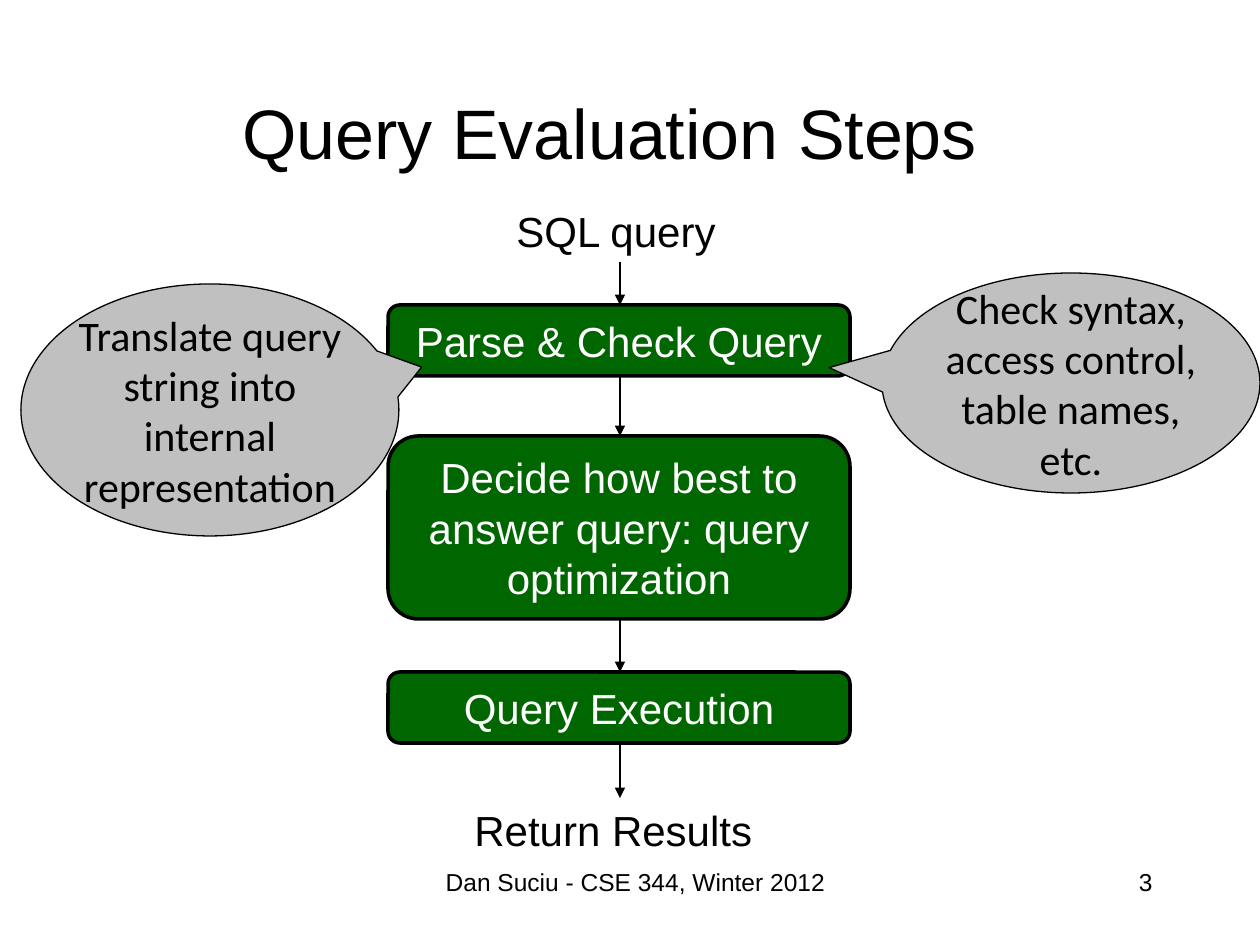
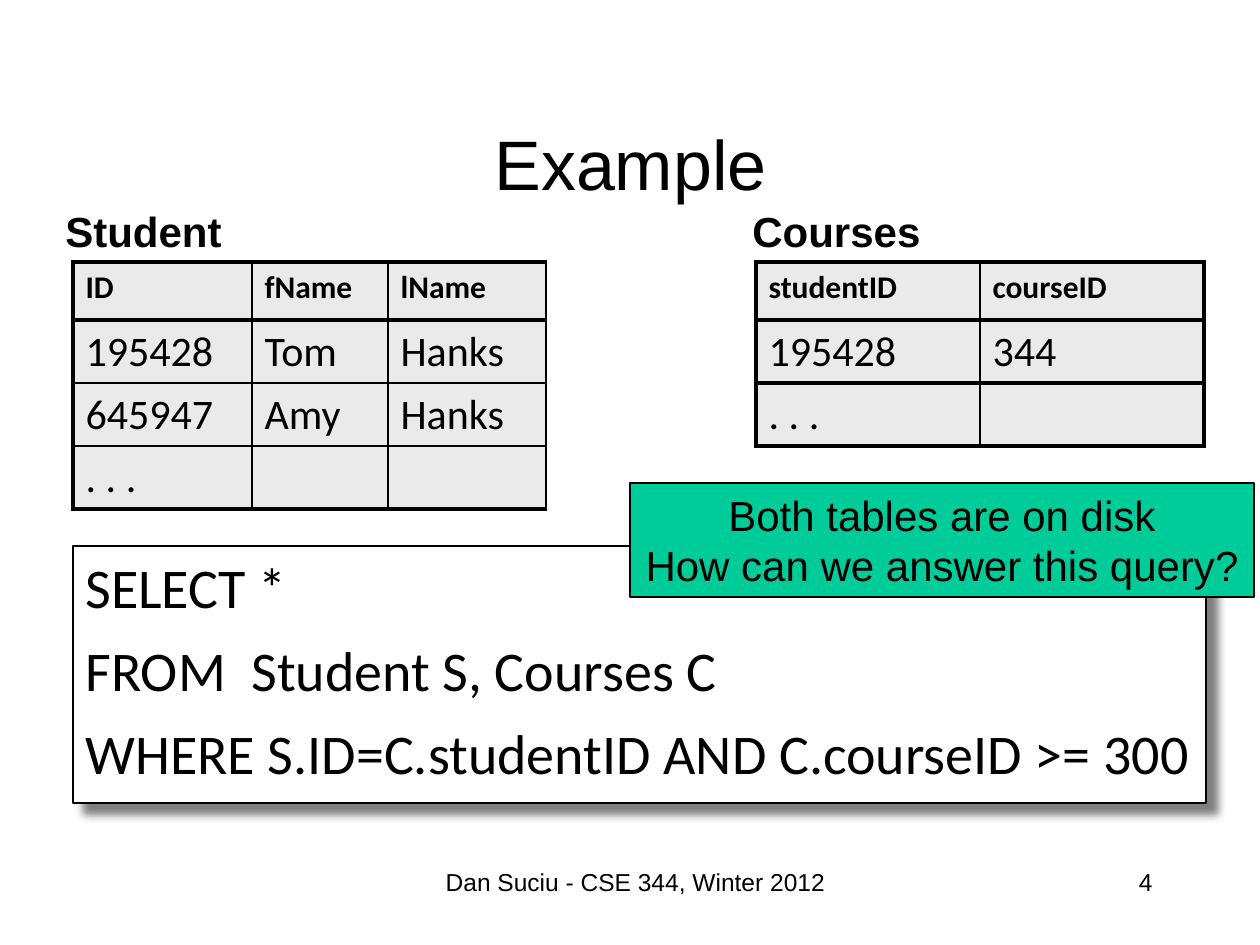
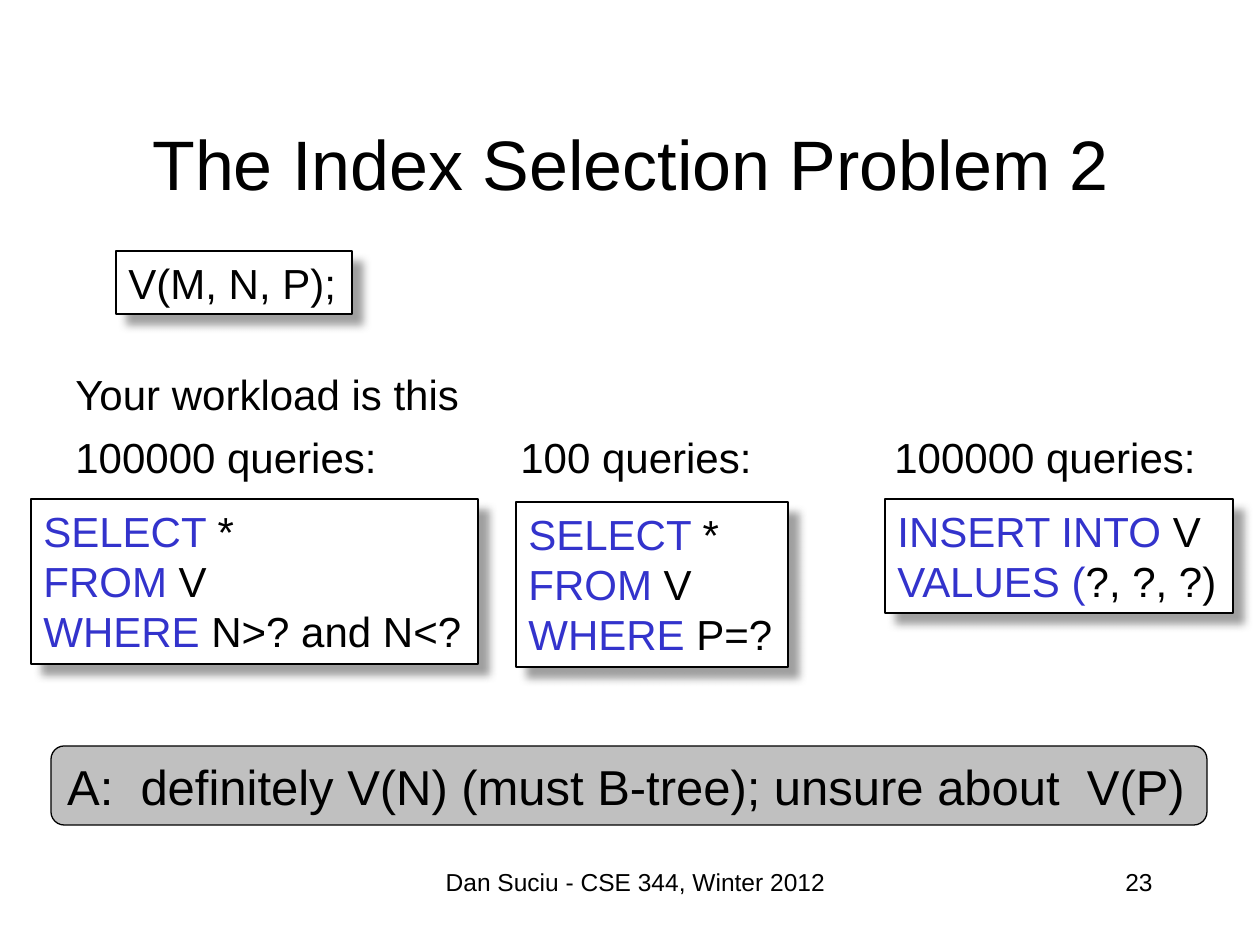
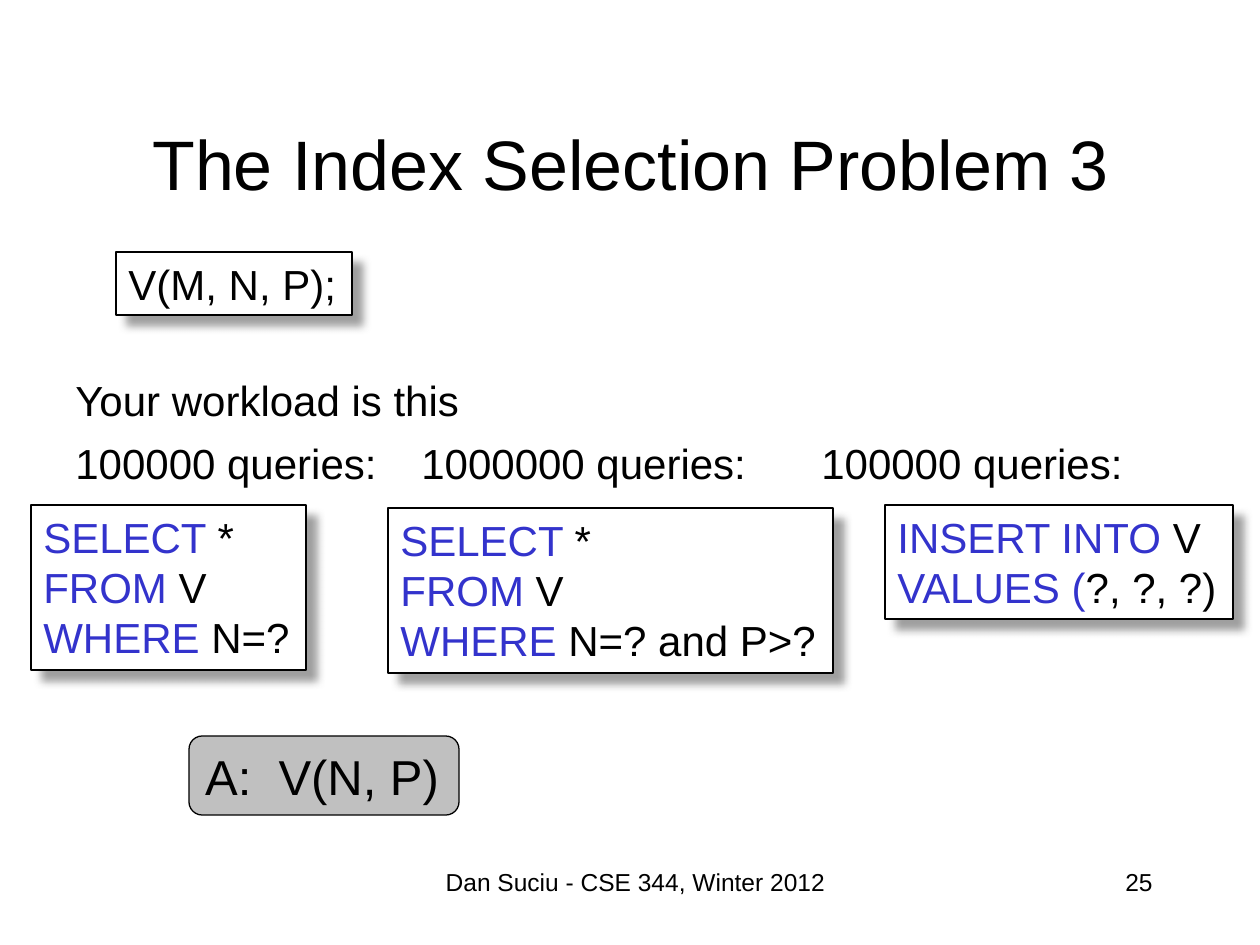
from lxml import etree
from pptx import Presentation
from pptx.dml.color import RGBColor
from pptx.enum.shapes import MSO_CONNECTOR, MSO_SHAPE
from pptx.enum.text import MSO_ANCHOR, PP_ALIGN
from pptx.oxml.ns import qn
from pptx.util import Emu, Pt

LEFT, CENTER, RIGHT = PP_ALIGN.LEFT, PP_ALIGN.CENTER, PP_ALIGN.RIGHT
TOP, MIDDLE = MSO_ANCHOR.TOP, MSO_ANCHOR.MIDDLE
RECTANGLE, ROUNDED = MSO_SHAPE.RECTANGLE, MSO_SHAPE.ROUNDED_RECTANGLE
CALLOUT = MSO_SHAPE.OVAL_CALLOUT
STRAIGHT = MSO_CONNECTOR.STRAIGHT

BLACK = RGBColor(0x00, 0x00, 0x00)
WHITE = RGBColor(0xFF, 0xFF, 0xFF)
GREEN = RGBColor(0x00, 0x66, 0x00)
MINT = RGBColor(0x00, 0xCC, 0x99)
SILVER = RGBColor(0xC0, 0xC0, 0xC0)
PALE = RGBColor(0xEA, 0xEA, 0xEA)
BLUE = RGBColor(0x33, 0x33, 0xCC)

EMU_PER_PX = 914400 / 126
SLIDE_SIZE = (1260, 945)
TITLE_PLACE = (95, 84, 1071, 158)
FOOTER_PLACE = (399, 861, 473, 63)
NUMBER_PLACE = (903, 861, 262, 63)
FOOTER = "Dan Suciu - CSE 344, Winter 2012"
LINE_HEIGHT, BOX_PADDING = 51, 12
THICK, THIN = 2.25, 1

STEPS = [
    ("Parse & Check Query", 305, 71),
    ("Decide how best to answer query: query optimization", 436, 183),
    ("Query Execution", 672, 71),
]
STEP_LEFT, STEP_WIDTH, ARROW_X = 388, 462, 620
FLOW_START, FLOW_END = 262, 798
FLOW_LABELS = [
    ("SQL query", (504, 199, 231, 63)),
    ("Return Results", (462, 798, 315, 63)),
]
CALLOUTS = [
    ("Translate query string into internal representation", (21, 284, 378, 252), (0.56, -0.17)),
    ("Check syntax, access control, table names, etc.", (882, 273, 378, 220), (-0.64, -0.07)),
]

TABLE_TOP, HEADER_HEIGHT, ROW_HEIGHT = 262, 58, 63
TABLES = [
    {
        "name": "Student", "label": (53, 199, 183, 63), "left": 73,
        "columns": (179, 136, 158), "right_edge": THIN, "inner_rule": THIN,
        "rows": [
            ("ID", "fName", "lName"),
            ("195428", "Tom", "Hanks"),
            ("645947", "Amy", "Hanks"),
            (". . .", "", ""),
        ],
    },
    {
        "name": "Courses", "label": (740, 199, 195, 63), "left": 756,
        "columns": (224, 224), "right_edge": THICK, "inner_rule": THICK,
        "rows": [("studentID", "courseID"), ("195428", "344"), (". . .", "")],
    },
]
JOIN_QUERY = [
    "SELECT *",
    "FROM  Student S, Courses C",
    "WHERE S.ID=C.studentID AND C.courseID >= 300",
]
QUESTION = ["Both tables are on disk", "How can we answer this query?"]

INSERT = [("INSERT INTO ", "V"), ("VALUES (", "?, ?, ?)")]


def select_where(condition):
    return [("SELECT ", "*"), ("FROM", " V"), ("WHERE", " " + condition)]


INDEX_PROBLEMS = [
    {
        "title": "The Index Selection Problem 2", "number": 23,
        "schema_top": 251, "workload_top": 362,
        "queries": [
            ("100000 queries:", 63, select_where("N>? and N<?"), 31, 137, 447),
            ("100 queries:", 508, select_where("P=?"), 516, 140, 272),
            ("100000 queries:", 882, INSERT, 885, 137, 348),
        ],
        "answer": "A:  definitely V(N) (must B-tree); unsure about  V(P)",
        "answer_place": (51, 746, 1156, 79),
    },
    {
        "title": "The Index Selection Problem 3", "number": 25,
        "schema_top": 252, "workload_top": 368,
        "queries": [
            ("100000 queries:", 63, select_where("N=?"), 31, 137, 275),
            ("1000000 queries:", 409, select_where("N=? and P>?"), 388, 140, 445),
            ("100000 queries:", 809, INSERT, 885, 137, 348),
        ],
        "answer": "A:  V(N, P)",
        "answer_place": (189, 736, 270, 79),
    },
]


def px(length):
    return Emu(round(length * EMU_PER_PX))


def add_child(parent, tag, **attributes):
    child = etree.SubElement(parent, qn(tag))
    for name, value in attributes.items():
        child.set(name, str(value))
    return child


def add_shadow(shape, opacity):
    effects = shape._element.spPr.find(qn("a:effectLst"))
    shadow = add_child(effects, "a:outerShdw", blurRad=Pt(5), dist=Pt(8.5),
                       dir=45 * 60000, algn="tl", rotWithShape=0)
    color = add_child(shadow, "a:srgbClr", val="808080")
    add_child(color, "a:alpha", val=opacity * 1000)


def write(frame, text, size=24, font="Arial", color=BLACK, bold=False,
          align=LEFT, space_before=0):
    lines = text if isinstance(text, list) else [text]
    for index, line in enumerate(lines):
        para = frame.add_paragraph() if index else frame.paragraphs[0]
        para.alignment = align
        if index and space_before:
            para.space_before = Pt(space_before)
        spans = [(line, color)] if isinstance(line, str) else zip(line, (BLUE, color))
        for words, span_color in spans:
            span = para.add_run()
            span.text = words
            span.font.size = Pt(size)
            span.font.name = font
            span.font.bold = bold
            span.font.color.rgb = span_color


def add_text(page, text, place, preset=None, fill=WHITE, line_width=0.75,
             adjustments=(), shadow=0, anchor=TOP, wrap=True, margin=None, **style):
    left, top, width, height = map(px, place)
    if preset is None:
        box = page.shapes.add_textbox(left, top, width, height)
    else:
        box = page.shapes.add_shape(preset, left, top, width, height)
        box.shadow.inherit = False
        box.fill.solid()
        box.fill.fore_color.rgb = fill
        box.line.color.rgb = BLACK
        box.line.width = Pt(line_width)
        for index, value in enumerate(adjustments):
            box.adjustments[index] = value
        if shadow:
            add_shadow(box, shadow)
    frame = box.text_frame
    frame.word_wrap = wrap
    frame.vertical_anchor = anchor
    if margin is not None:
        frame.margin_left = frame.margin_right = px(margin)
        frame.margin_top = frame.margin_bottom = px(margin)
    write(frame, text, **style)


def add_fitted(page, lines, left, top, width, **style):
    height = LINE_HEIGHT * len(lines) + BOX_PADDING
    add_text(page, lines, (left, top, width, height), RECTANGLE, wrap=False, **style)


def add_arrow(page, start, end):
    arrow = page.shapes.add_connector(STRAIGHT, px(ARROW_X), px(start), px(ARROW_X), px(end))
    arrow.line.color.rgb = BLACK
    arrow.line.width = Pt(0.75)
    add_child(arrow.line._get_or_add_ln(), "a:tailEnd", type="triangle")
    add_child(arrow._element.spPr, "a:effectLst")


def add_page(deck, title, number, title_place=TITLE_PLACE):
    page = deck.slides.add_slide(deck.slide_layouts[6])
    add_text(page, title, title_place, size=40, align=CENTER, anchor=MIDDLE)
    add_text(page, FOOTER, FOOTER_PLACE, size=14, align=CENTER)
    add_text(page, str(number), NUMBER_PLACE, size=14, align=RIGHT)
    return page


def set_borders(cell, **widths):
    properties = cell._tc.get_or_add_tcPr()
    for index, side in enumerate(("left", "right", "top", "bottom")):
        border = etree.Element(qn("a:ln" + side[0].upper()), w=str(Pt(widths[side])))
        fill = add_child(border, "a:solidFill")
        add_child(fill, "a:srgbClr", val=str(BLACK))
        properties.insert(index, border)


def add_data_table(page, data):
    rows, columns = data["rows"], data["columns"]
    heights = [HEADER_HEIGHT] + [ROW_HEIGHT] * (len(rows) - 1)
    graphic = page.shapes.add_table(len(rows), len(columns), px(data["left"]),
                                    px(TABLE_TOP), px(sum(columns)), px(sum(heights)))
    table = graphic.table
    table.first_row = table.horz_banding = False
    for column, width in zip(table.columns, columns):
        column.width = px(width)
    rules = [THICK, THICK] + [data["inner_rule"]] * (len(rows) - 2) + [THICK]
    edges = [THICK] + [THIN] * (len(columns) - 1) + [data["right_edge"]]
    for r, values in enumerate(rows):
        table.rows[r].height = px(heights[r])
        for c, value in enumerate(values):
            cell = table.cell(r, c)
            cell.fill.solid()
            cell.fill.fore_color.rgb = PALE
            set_borders(cell, left=edges[c], right=edges[c + 1],
                        top=rules[r], bottom=rules[r + 1])
            if value:
                write(cell.text_frame, value, font="Calibri",
                      size=24 if r else 18, bold=r == 0)


def build_steps(deck):
    page = add_page(deck, "Query Evaluation Steps", 3, (53, 53, 1113, 158))
    for text, top, height in STEPS:
        add_text(page, text, (STEP_LEFT, top, STEP_WIDTH, height), ROUNDED, fill=GREEN,
                 line_width=2, anchor=MIDDLE, color=WHITE, align=CENTER)
    starts = [FLOW_START] + [top + height for _, top, height in STEPS]
    ends = [top for _, top, _ in STEPS] + [FLOW_END]
    for start, end in zip(starts, ends):
        add_arrow(page, start, end)
    for text, place in FLOW_LABELS:
        add_text(page, text, place)
    for text, place, tip in CALLOUTS:
        add_text(page, text, place, CALLOUT, fill=SILVER, adjustments=tip, anchor=MIDDLE,
                 margin=0, font="Calibri", align=CENTER)


def build_example(deck):
    page = add_page(deck, "Example", 4)
    for data in TABLES:
        add_text(page, data["name"], data["label"], wrap=False, bold=True)
        add_data_table(page, data)
    add_text(page, JOIN_QUERY, (73, 546, 1133, 257), RECTANGLE, shadow=100, wrap=False,
             size=32, font="Calibri", space_before=9)
    add_fitted(page, QUESTION, 630, 483, 624, fill=MINT, align=CENTER)


def build_index_problem(deck, problem):
    page = add_page(deck, problem["title"], problem["number"])
    add_fitted(page, ["V(M, N, P);"], 116, problem["schema_top"], 236, shadow=75)
    top = problem["workload_top"]
    add_text(page, "Your workload is this", (63, top, 413, 63), wrap=False)
    for count, count_left, lines, left, offset, width in problem["queries"]:
        count_width = 353 if len(count) > 15 else 330 if len(count) > 12 else 258
        add_text(page, count, (count_left, top + 63, count_width, 63), wrap=False)
        add_fitted(page, lines, left, top + offset, width, shadow=75)
    add_text(page, problem["answer"], problem["answer_place"], ROUNDED, fill=SILVER,
             wrap=False, size=28)


def main():
    deck = Presentation()
    deck.slide_width, deck.slide_height = map(px, SLIDE_SIZE)
    build_steps(deck)
    build_example(deck)
    for problem in INDEX_PROBLEMS:
        build_index_problem(deck, problem)
    deck.save("out.pptx")


if __name__ == "__main__":
    main()
